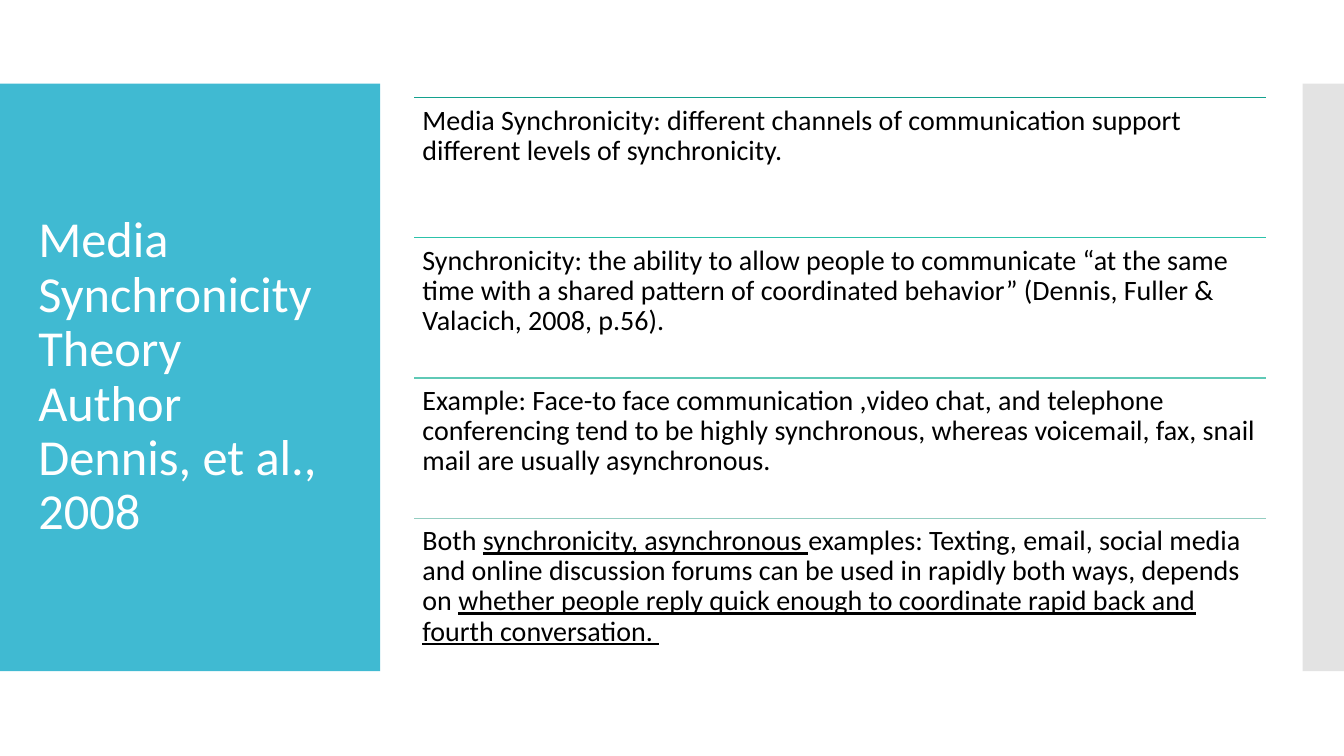
from lxml import etree
from pptx import Presentation
from pptx.dml.color import RGBColor
from pptx.enum.shapes import MSO_CONNECTOR, MSO_SHAPE
from pptx.enum.text import MSO_ANCHOR, MSO_AUTO_SIZE, PP_ALIGN
from pptx.oxml.ns import qn
from pptx.util import Inches, Pt

RECTANGLE = MSO_SHAPE.RECTANGLE
STRAIGHT = MSO_CONNECTOR.STRAIGHT
TOP, MIDDLE = MSO_ANCHOR.TOP, MSO_ANCHOR.MIDDLE
NO_AUTOFIT = MSO_AUTO_SIZE.NONE
LEFT = PP_ALIGN.LEFT

CYAN = RGBColor(0x40, 0xBA, 0xD2)
GREY = RGBColor(0xC8, 0xC8, 0xC8)
WHITE = RGBColor(0xFF, 0xFF, 0xFF)
BLACK = RGBColor(0x00, 0x00, 0x00)
FONT = "Calibri"

STATEMENTS = [
    (RGBColor(0x14, 0xA1, 0x8E), [
        ("Media Synchronicity: different channels of communication support "
         "different levels of synchronicity.", False)]),
    (RGBColor(0x2C, 0xC2, 0xAA), [
        ("Synchronicity: the ability to allow people to communicate “at the same "
         "time with a shared pattern of coordinated behavior” (Dennis, Fuller & "
         "Valacich, 2008, p.56).", False)]),
    (RGBColor(0x5F, 0xC9, 0xB6), [
        ("Example: Face-to face communication ,video chat, and telephone "
         "conferencing tend to be highly synchronous, whereas voicemail, fax, snail "
         "mail are usually asynchronous.", False)]),
    (RGBColor(0x94, 0xCD, 0xC1), [
        ("Both ", False),
        ("synchronicity, asynchronous ", True),
        ("examples: Texting, email, social media and online discussion forums can "
         "be used in rapidly both ways, depends on ", False),
        ("whether people reply quick enough to coordinate rapid back and "
         "fourth conversation. ", True)]),
]


def style_paragraph(paragraph, size, color):
    paragraph.alignment = LEFT
    paragraph.line_spacing = 0.9
    paragraph.space_before = Pt(0)
    paragraph.font.name = FONT
    paragraph.font.size = Pt(size)
    paragraph.font.color.rgb = color


def add_band(slide, left, top, width, height, color):
    band = slide.shapes.add_shape(
        RECTANGLE, Inches(left), Inches(top), Inches(width), Inches(height))
    band.shadow.inherit = False
    band.fill.solid()
    band.fill.fore_color.rgb = color
    band.line.fill.background()
    slide.shapes.title.element.addprevious(band.element)
    return band


def add_title_panel(slide, left, top, width, height):
    add_band(slide, left, top, width, height, CYAN)
    title = slide.shapes.title
    title.left, title.top = Inches(left + 0.28), Inches(top + 0.4)
    title.width, title.height = Inches(width - 0.55), Inches(height - 0.8)
    frame = title.text_frame
    frame.text = "Media Synchronicity Theory\vAuthor\vDennis, et al., 2008"
    frame.word_wrap = True
    frame.auto_size = NO_AUTOFIT
    frame.vertical_anchor = MIDDLE
    style_paragraph(frame.paragraphs[0], 36, WHITE)


def add_edge_band(slide, left, top, width, height):
    band = add_band(slide, left, top, width, height, GREY)
    color = band.element.spPr.find(qn("a:solidFill")).find(qn("a:srgbClr"))
    etree.SubElement(color, qn("a:alpha"), val="50000")


def add_statement(slide, left, top, width, height, rule_color, spans):
    rule = slide.shapes.add_connector(
        STRAIGHT, Inches(left), Inches(top), Inches(left + width), Inches(top))
    rule.line.color.rgb = rule_color
    rule.line.width = Pt(0.75)
    etree.SubElement(rule.element.spPr, qn("a:effectLst"))

    box = slide.shapes.add_textbox(
        Inches(left), Inches(top), Inches(width), Inches(height))
    frame = box.text_frame
    frame.word_wrap = True
    frame.vertical_anchor = TOP
    frame.margin_left = frame.margin_right = Inches(0.08)
    frame.margin_top = frame.margin_bottom = Inches(0.08)
    paragraph = frame.paragraphs[0]
    style_paragraph(paragraph, 20, BLACK)
    for text, underlined in spans:
        span = paragraph.add_run()
        span.text = text
        if underlined:
            span.font.underline = True


def add_statements(slide, left, top, width, height):
    row_height = height / len(STATEMENTS)
    for index, (rule_color, spans) in enumerate(STATEMENTS):
        add_statement(slide, left, top + index * row_height, width, row_height,
                      rule_color, spans)


def main():
    deck = Presentation()
    deck.slide_width, deck.slide_height = Inches(13.33), Inches(7.5)
    slide = deck.slides.add_slide(deck.slide_layouts[5])
    add_title_panel(slide, 0, 0.83, 3.77, 5.83)
    add_edge_band(slide, 12.92, 0.83, 0.41, 5.83)
    add_statements(slide, 4.11, 0.97, 8.45, 5.56)
    deck.save("out.pptx")


if __name__ == "__main__":
    main()
